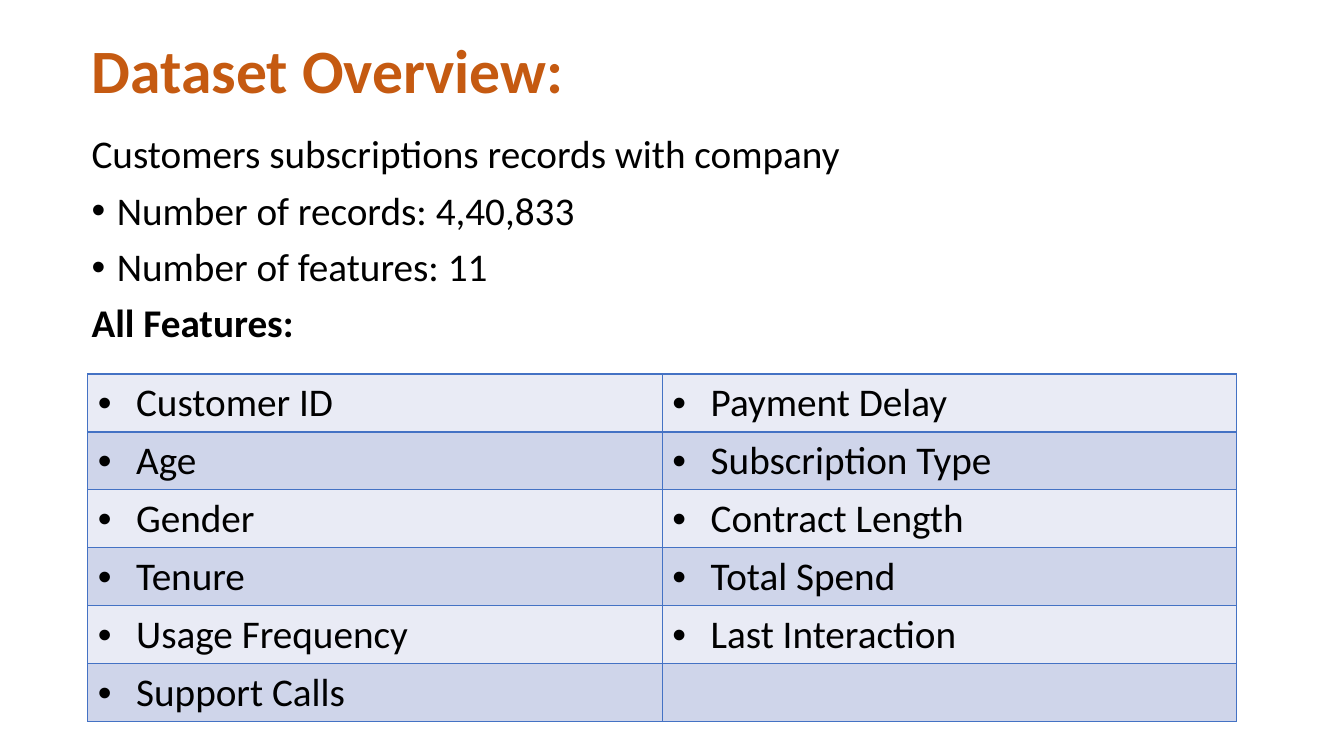
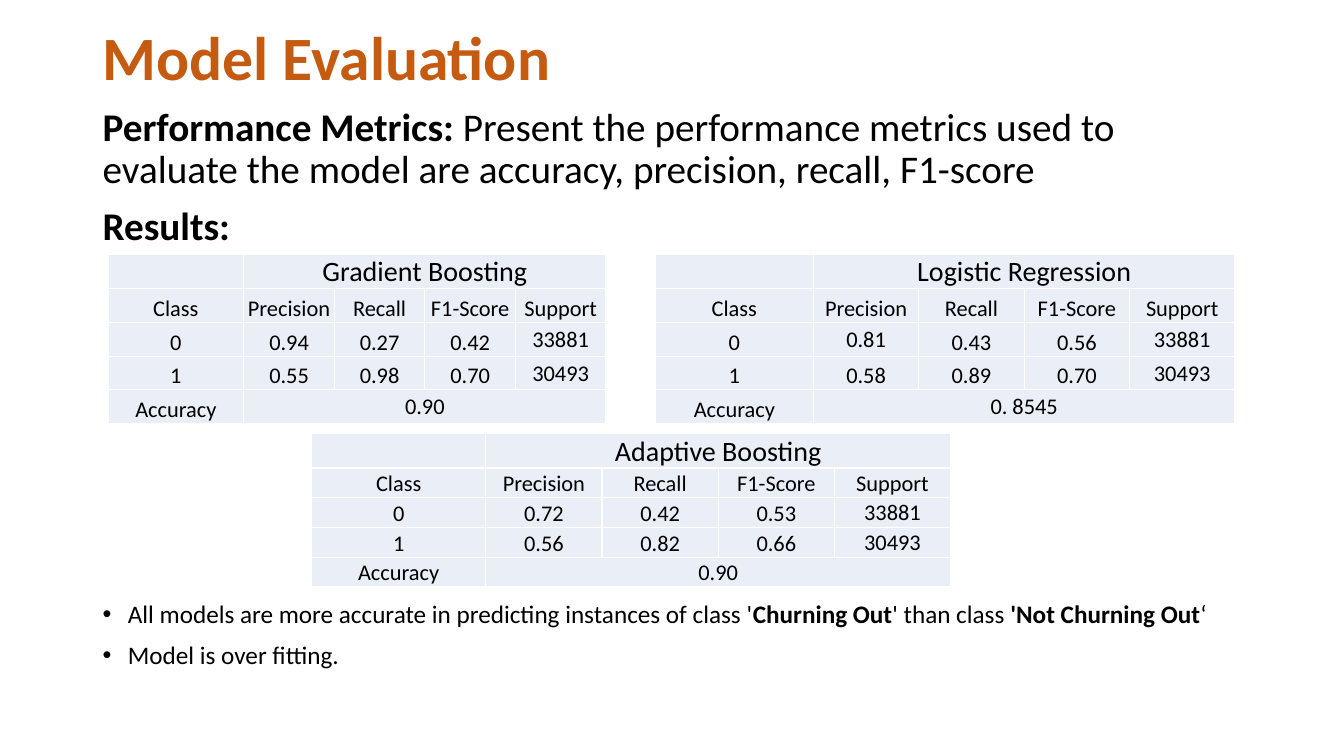
from dataclasses import dataclass
from itertools import product
from typing import NamedTuple

from pptx import Presentation
from pptx.dml.color import RGBColor as Color
from pptx.enum.text import MSO_ANCHOR as Anchor, MSO_AUTO_SIZE as AutoSize, PP_ALIGN as Align
from pptx.oxml.ns import qn
from pptx.util import Emu, Inches, Pt
from lxml.etree import SubElement

COLORS = {
    "title": "C55A11",
    "text": "000000",
    "grid": "4472C4",
    "light_band": "E9EBF5",
    "dark_band": "CFD5EA",
    "metric_fill": "EAEFF7",
    "metric_grid": "FFFFFF",
}
FONT = "Calibri"
SLIDE_WIDTH, SLIDE_HEIGHT = Inches(13.33), Inches(7.5)
TITLE_ONLY = 5
TEXT_WIDTH = 86.25


class Area(NamedTuple):
    """Left, top, width and height in percent of the slide."""
    left: float
    top: float
    width: float
    height: float

    def lengths(self) -> tuple:
        sides = (SLIDE_WIDTH, SLIDE_HEIGHT) * 2
        return tuple(Emu(round(side * share / 100)) for side, share in zip(sides, self))


class Span(NamedTuple):
    text: str
    bold: bool = False


@dataclass(frozen=True)
class Line:
    spans: tuple[Span, ...]
    size: int = 28
    bullet: bool = False


@dataclass(frozen=True)
class Metrics:
    model: str
    area: Area
    scores: tuple[tuple[str, ...], ...]
    accuracy: str
    centred: frozenset = frozenset()


FEATURES = (
    ("Customer ID", "Payment Delay"),
    ("Age", "Subscription Type"),
    ("Gender", "Contract Length"),
    ("Tenure", "Total Spend"),
    ("Usage Frequency", "Last Interaction"),
    ("Support Calls", ""),
)
OVERVIEW = (
    Line((Span("Customers subscriptions records with company"),)),
    Line((Span("Number of records: 4,40,833"),), bullet=True),
    Line((Span("Number of features: 11"),), bullet=True),
    Line((Span("All Features:", True),)),
)
EVALUATION = (
    Line((
        Span("Performance Metrics: ", True),
        Span("Present the performance metrics used to evaluate the model are "
             "accuracy, precision, recall, F1-score"),
    )),
    Line((Span("Results:", True),)),
)
FINDINGS = (
    Line((
        Span("All models are more accurate in predicting instances of class '"),
        Span("Churning Out", True),
        Span("' than class "),
        Span("'Not Churning Out", True),
        Span("‘"),
    ), 18, True),
    Line((Span("Model is over fitting."),), 18, True),
)
HEADINGS = ("Class", "Precision", "Recall", "F1-Score", "Support")
SUPPORT = ("33881", "30493")
COLUMN_SHARES = (1.5, 1, 1, 1, 1)
CENTRED_CELLS = frozenset({(2, 4), (3, 4), (4, 1)})
METRICS = (
    Metrics("Gradient Boosting", Area(8.03, 33.6, 37.06, 22.4),
            (("0.94", "0.27", "0.42"), ("0.55", "0.98", "0.70")), "0.90"),
    Metrics("Logistic Regression", Area(48.76, 33.6, 43.13, 22.4),
            (("0.81", "0.43", "0.56"), ("0.58", "0.89", "0.70")), "0. 8545",
            frozenset({(2, 1)})),
    Metrics("Adaptive Boosting", Area(23.18, 57.33, 47.56, 20.27),
            (("0.72", "0.42", "0.53"), ("0.56", "0.82", "0.66")), "0.90"),
)


def write(para, text: str, *, size: int = 28, bold: bool = False, color: str = "text") -> None:
    span = para.add_run()
    span.text = text
    font = span.font
    font.name, font.size, font.bold = FONT, Pt(size), bold
    font.color.rgb = Color.from_string(COLORS[color])


def add_bullet(para, indent: float) -> None:
    properties = para._p.get_or_add_pPr()
    properties.set("marL", str(Inches(indent)))
    properties.set("indent", str(-Inches(indent)))
    SubElement(properties, qn("a:buFont"), typeface="Arial")
    SubElement(properties, qn("a:buChar"), char="•")


def add_titled_slide(deck, title: str, area: Area):
    slide = deck.slides.add_slide(deck.slide_layouts[TITLE_ONLY])
    box = slide.shapes.title
    box.left, box.top, box.width, box.height = area.lengths()
    frame = box.text_frame
    frame.auto_size = AutoSize.NONE
    frame.vertical_anchor = Anchor.MIDDLE
    para = frame.paragraphs[0]
    para.alignment, para.line_spacing = Align.LEFT, 0.9
    write(para, title, size=44, bold=True, color="title")
    return slide


def add_text(slide, area: Area, lines: tuple[Line, ...]) -> None:
    frame = slide.shapes.add_textbox(*area.lengths()).text_frame
    frame.word_wrap = True
    for index, line in enumerate(lines):
        para = frame.add_paragraph() if index else frame.paragraphs[0]
        para.line_spacing, para.space_before = 0.9, Pt(10)
        if line.bullet:
            add_bullet(para, 0.25)
        for span in line.spans:
            write(para, span.text, size=line.size, bold=span.bold)


def add_grid(slide, area: Area, rows: int, columns: int):
    table = slide.shapes.add_table(rows, columns, *area.lengths()).table
    table.first_row = table.horz_banding = False
    return table


def format_cell(cell, fill: str, border: str) -> None:
    properties = cell._tc.get_or_add_tcPr()
    for side in ("lnL", "lnR", "lnT", "lnB"):
        edge = SubElement(properties, qn(f"a:{side}"), w=str(Pt(1)))
        paint = SubElement(edge, qn("a:solidFill"))
        SubElement(paint, qn("a:srgbClr"), val=COLORS[border])
    cell.fill.solid()
    cell.fill.fore_color.rgb = Color.from_string(COLORS[fill])


def add_features(slide, area: Area) -> None:
    table = add_grid(slide, area, len(FEATURES), 2)
    for row, column in product(range(len(FEATURES)), range(2)):
        cell = table.cell(row, column)
        format_cell(cell, "dark_band" if row % 2 else "light_band", "grid")
        if text := FEATURES[row][column]:
            para = cell.text_frame.paragraphs[0]
            add_bullet(para, 0.38)
            write(para, text)


def add_metrics(slide, metrics: Metrics) -> None:
    content = (
        ("", metrics.model, "", "", ""),
        HEADINGS,
        *((str(label), *scores, SUPPORT[label]) for label, scores in enumerate(metrics.scores)),
        ("Accuracy", metrics.accuracy, "", "", ""),
    )
    last = len(content) - 1
    table = add_grid(slide, metrics.area, len(content), len(HEADINGS))
    _, _, width, height = metrics.area.lengths()
    for column, share in zip(table.columns, COLUMN_SHARES):
        column.width = Emu(round(width * share / sum(COLUMN_SHARES)))
    heading_height = Inches(0.34)
    for index, row in enumerate(table.rows):
        row.height = Emu((height - heading_height) // last) if index else heading_height
    for row in (0, last):
        table.cell(row, 1).merge(table.cell(row, last))
    centred = CENTRED_CELLS | metrics.centred
    for row, column in product(range(len(content)), range(len(HEADINGS))):
        cell = table.cell(row, column)
        format_cell(cell, "metric_fill", "metric_grid")
        cell.margin_left = cell.margin_right = cell.margin_top = Inches(0.01)
        cell.margin_bottom = 0
        cell.vertical_anchor = Anchor.MIDDLE if (row, column) in centred else Anchor.BOTTOM
        if text := content[row][column]:
            para = cell.text_frame.paragraphs[0]
            para.alignment = Align.CENTER
            write(para, text, size=16 if row else 20)


def add_overview_slide(deck) -> None:
    left = 6.08
    slide = add_titled_slide(deck, "Dataset Overview:", Area(left, 0, TEXT_WIDTH, 19.33))
    add_text(slide, Area(left, 17.2, TEXT_WIDTH, 31), OVERVIEW)
    add_features(slide, Area(6.53, 49.47, 85.5, 46))


def add_evaluation_slide(deck) -> None:
    left = 6.9
    slide = add_titled_slide(deck, "Model Evaluation", Area(left, 2.4, TEXT_WIDTH, 11.2))
    add_text(slide, Area(left, 13.6, TEXT_WIDTH, 20), EVALUATION)
    for metrics in METRICS:
        add_metrics(slide, metrics)
    add_text(slide, Area(left, 78.93, TEXT_WIDTH, 13), FINDINGS)


def main() -> None:
    deck = Presentation()
    deck.slide_width, deck.slide_height = SLIDE_WIDTH, SLIDE_HEIGHT
    add_overview_slide(deck)
    add_evaluation_slide(deck)
    deck.save("out.pptx")


if __name__ == "__main__":
    main()
